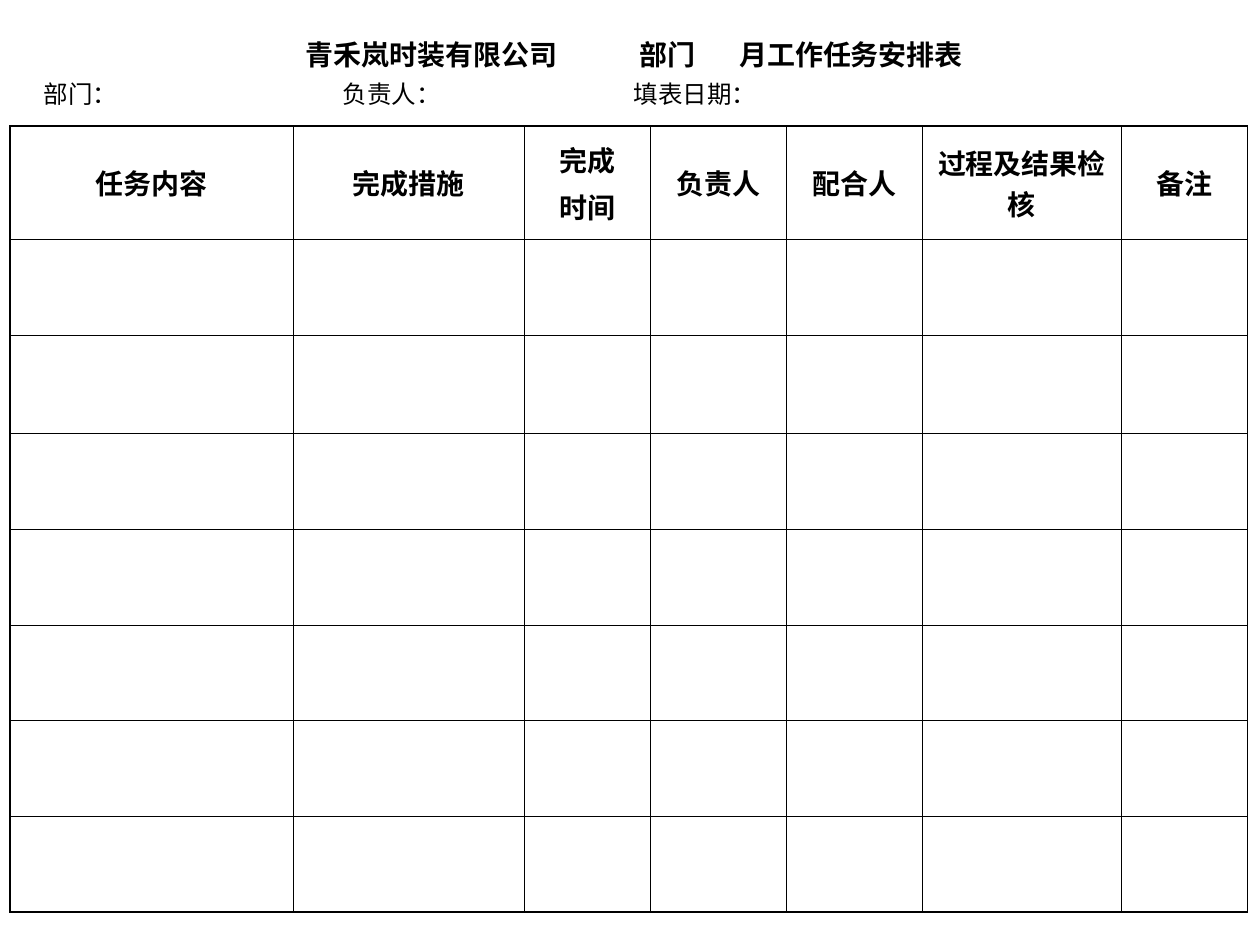
from dataclasses import dataclass

from lxml import etree
from pptx import Presentation
from pptx import util as u
from pptx.dml.color import RGBColor
from pptx.enum import text
from pptx.oxml import ns


@dataclass(frozen=True)
class Theme:
    font: str = "Times New Roman"
    ink: RGBColor = RGBColor(0, 0, 0)
    heading: int = 16
    body: int = 14
    outer_line: float = 1.08
    inner_line: float = 0.45


class FormPage:
    def __init__(self, deck, theme):
        self.theme = theme
        self.page = deck.slides.add_slide(deck.slide_layouts[6])

    def style(self, para, size, bold=False):
        font = para.font
        font.name, font.size, font.bold = self.theme.font, u.Pt(size), bold
        font.color.rgb = self.theme.ink

    def tabbed_line(self, left, top, width, height, parts, stops, size, bold=False):
        """Place a line of text whose parts start at the given tab stops."""
        box = self.page.shapes.add_textbox(*map(u.Inches, (left, top, width, height)))
        box.text_frame.word_wrap = True
        para = box.text_frame.paragraphs[0]
        para.add_run().text = "\t".join(parts)
        tabs = etree.SubElement(para._p.get_or_add_pPr(), ns.qn("a:tabLst"))
        for stop in stops:
            etree.SubElement(tabs, ns.qn("a:tab"), pos=str(u.Inches(stop)), algn="l")
        self.style(para, size, bold)

    def border(self, cell, side, points):
        line = etree.SubElement(cell._tc.get_or_add_tcPr(), ns.qn(f"a:ln{side}"),
                                w=str(u.Pt(points)))
        fill = etree.SubElement(line, ns.qn("a:solidFill"))
        etree.SubElement(fill, ns.qn("a:srgbClr"), val=str(self.theme.ink))

    def header(self, cell, lines):
        cell.vertical_anchor = text.MSO_ANCHOR.MIDDLE
        frame = cell.text_frame
        for index, line in enumerate(lines):
            para = frame.add_paragraph() if index else frame.paragraphs[0]
            para.add_run().text = line
            para.alignment = text.PP_ALIGN.CENTER
            if index:
                para.space_before = u.Pt(4)
            self.style(para, self.theme.heading, bold=True)

    def grid(self, left, top, columns, heights):
        """Draw a blank form under a header row, with a heavier outer frame."""
        rows, cols = len(heights), len(columns)
        table = self.page.shapes.add_table(
            rows, cols, u.Inches(left), u.Inches(top),
            u.Inches(sum(width for _, width in columns)), u.Inches(sum(heights))).table
        table.first_row = table.horz_banding = False
        for column, (_, width) in zip(table.columns, columns):
            column.width = u.Inches(width)
        for r, height in enumerate(heights):
            table.rows[r].height = u.Inches(height)
            for c, (lines, _) in enumerate(columns):
                cell = table.cell(r, c)
                outer = {"L": c == 0, "R": c == cols - 1, "T": r == 0, "B": r == rows - 1}
                for side, on_frame in outer.items():
                    self.border(cell, side, self.theme.outer_line if on_frame
                                else self.theme.inner_line)
                cell.fill.background()
                if r == 0:
                    self.header(cell, lines)


def main():
    deck = Presentation()
    deck.slide_width, deck.slide_height = u.Inches(10), u.Inches(7.5)
    theme = Theme()
    form = FormPage(deck, theme)

    # Title and fields to fill in
    form.tabbed_line(2.33, 0.25, 5.83, 0.37,
                     ["青禾岚时装有限公司", "部门", "月工作任务安排表"],
                     [2.65, 3.44], theme.heading, bold=True)
    form.tabbed_line(0.25, 0.58, 9.33, 0.34, ["部门：", "负责人：", "填表日期："],
                     [2.37, 4.68], theme.body)

    # Task table: header lines and width of each column
    columns = [
        (["任务内容"], 2.25),
        (["完成措施"], 1.83),
        (["完成", "时间"], 1),
        (["负责人"], 1.08),
        (["配合人"], 1.08),
        (["过程及结果检核"], 1.58),
        (["备注"], 1),
    ]
    form.grid(0.08, 1, columns, [0.9, 0.76, 0.78] + [0.76] * 5)

    deck.save("out.pptx")


if __name__ == "__main__":
    main()
